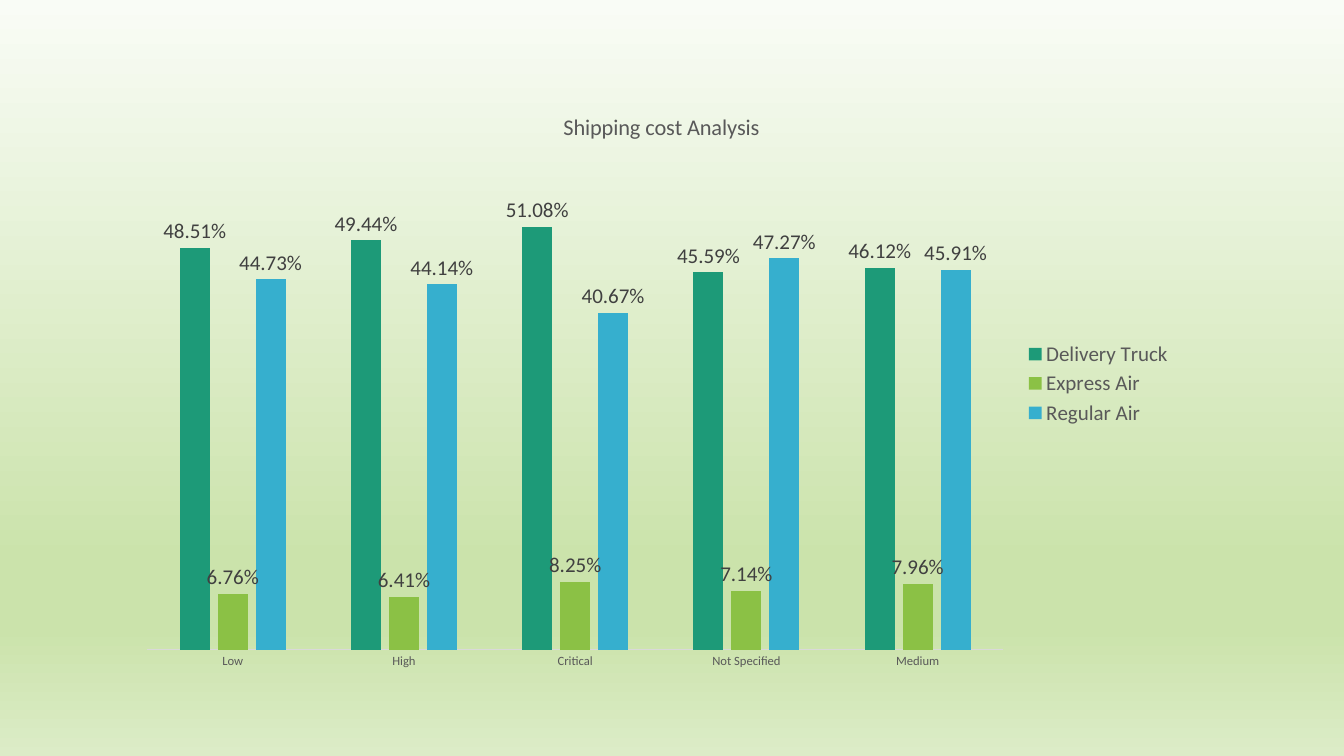
from pptx import Presentation
from pptx.chart.data import CategoryChartData
from pptx.dml.color import RGBColor
from pptx.enum.chart import XL_CHART_TYPE, XL_LABEL_POSITION, XL_LEGEND_POSITION, XL_TICK_MARK
from pptx.oxml import parse_xml
from pptx.oxml.ns import nsdecls
from pptx.util import Pt

COLUMN = XL_CHART_TYPE.COLUMN_CLUSTERED
OUTER = XL_LABEL_POSITION.OUTSIDE_END
RIGHT = XL_LEGEND_POSITION.RIGHT
NO_TICK = XL_TICK_MARK.NONE
SCALE = 12192000 / 1344
GREY = "595959"
BACK = [(0, "F9FCF6"), (74, "CBE3AB"), (83, "CBE3AB"), (100, "DCECC7")]
LEVELS = ["Low", "High", "Critical", "Not Specified", "Medium"]
COSTS = [
    ("Delivery Truck", "1D9A78", [0.4851, 0.4944, 0.5108, 0.4559, 0.4612]),
    ("Express Air", "8BC145", [0.0676, 0.0641, 0.0825, 0.0714, 0.0796]),
    ("Regular Air", "36AFCE", [0.4473, 0.4414, 0.4067, 0.4727, 0.4591]),
]


def px(length):
    return round(length * SCALE)


def rgb(code):
    return RGBColor.from_string(code)


class Deck:
    """Builds slides in one style, with a method for each kind of element."""

    def __init__(self, face):
        self.face = face
        self.file = Presentation()
        self.file.slide_width, self.file.slide_height = px(1344), px(756)

    def add_slide(self, stops):
        self.slide = self.file.slides.add_slide(self.file.slide_layouts[6])
        marks = "".join(
            f'<a:gs pos="{spot * 1000}"><a:srgbClr val="{code}"/></a:gs>' for spot, code in stops
        )
        self.slide.element.cSld.insert(0, parse_xml(
            f'<p:bg {nsdecls("p", "a")}><p:bgPr><a:gradFill rotWithShape="1">'
            f'<a:gsLst>{marks}</a:gsLst><a:lin ang="5400000" scaled="0"/>'
            '</a:gradFill><a:effectLst/></p:bgPr></p:bg>'
        ))

    def style(self, font, size, code=GREY):
        font.name, font.size, font.bold = self.face, Pt(size), False
        font.color.rgb = rgb(code)

    def layout(self, kind, **edges):
        rows = "".join(f'<c:{name} val="{part}"/>' for name, part in edges.items())
        target = '<c:layoutTarget val="inner"/>' if kind == "plot" else ""
        return parse_xml(
            f'<c:layout {nsdecls("c")}><c:manualLayout>{target}<c:xMode val="edge"/>'
            f'<c:yMode val="edge"/>{rows}</c:manualLayout></c:layout>'
        )

    def add_chart(self, title, groups, series, box):
        data = CategoryChartData(number_format="0.00%")
        data.categories = groups
        for name, _, values in series:
            data.add_series(name, values)
        chart = self.slide.shapes.add_chart(COLUMN, *map(px, box), data).chart
        self.style(chart.font, 10, "000000")
        self.add_title(chart, title)
        self.set_axes(chart)
        self.set_bars(chart.plots[0], series)
        chart.has_legend = True
        chart.legend.position = RIGHT
        chart.legend.include_in_layout = False
        self.style(chart.legend.font, 15)

    def add_title(self, chart, text):
        chart.has_title = True
        frame = chart.chart_title.text_frame
        run = frame.paragraphs[0].add_run()
        run.text = text
        self.style(run.font, 16)
        node = chart.chart_title.element if hasattr(chart.chart_title, "element") else None
        if node is not None:
            for old in node.findall("{*}layout"):
                node.remove(old)
            node.find("{*}tx").addnext(self.layout("title", x=0.41, y=0.04))

    def set_axes(self, chart):
        groups, values = chart.category_axis, chart.value_axis
        groups.major_tick_mark = groups.minor_tick_mark = NO_TICK
        groups.format.line.color.rgb = rgb("D9D9D9")
        groups.format.line.width = Pt(0.75)
        self.style(groups.tick_labels.font, 9)
        values.visible = False
        values.has_major_gridlines = False
        values.minimum_scale, values.maximum_scale = 0, 0.6
        area = chart.element.chart.plotArea if hasattr(chart, "element") else None
        if area is not None:
            for old in area.findall("{*}layout"):
                area.remove(old)
            area.insert(0, self.layout("plot", x=0.02, y=0.115, w=0.81, h=0.83))

    def set_bars(self, plot, series):
        plot.gap_width, plot.overlap = 219, -27
        plot.vary_by_categories = False
        for bars, (_, code, _) in zip(plot.series, series):
            bars.format.fill.solid()
            bars.format.fill.fore_color.rgb = rgb(code)
            bars.invert_if_negative = False
            labels = bars.data_labels
            labels.show_value = True
            labels.position = OUTER
            labels.number_format = "0.00%"
            labels.number_format_is_linked = False
            self.style(labels.font, 15, "404040")

    def save(self):
        self.file.save("out.pptx")


def main():
    deck = Deck("Calibri")
    deck.add_slide(BACK)
    deck.add_chart("Shipping cost Analysis", LEVELS, COSTS, (126, 84, 1057, 599))
    deck.save()


if __name__ == "__main__":
    main()
